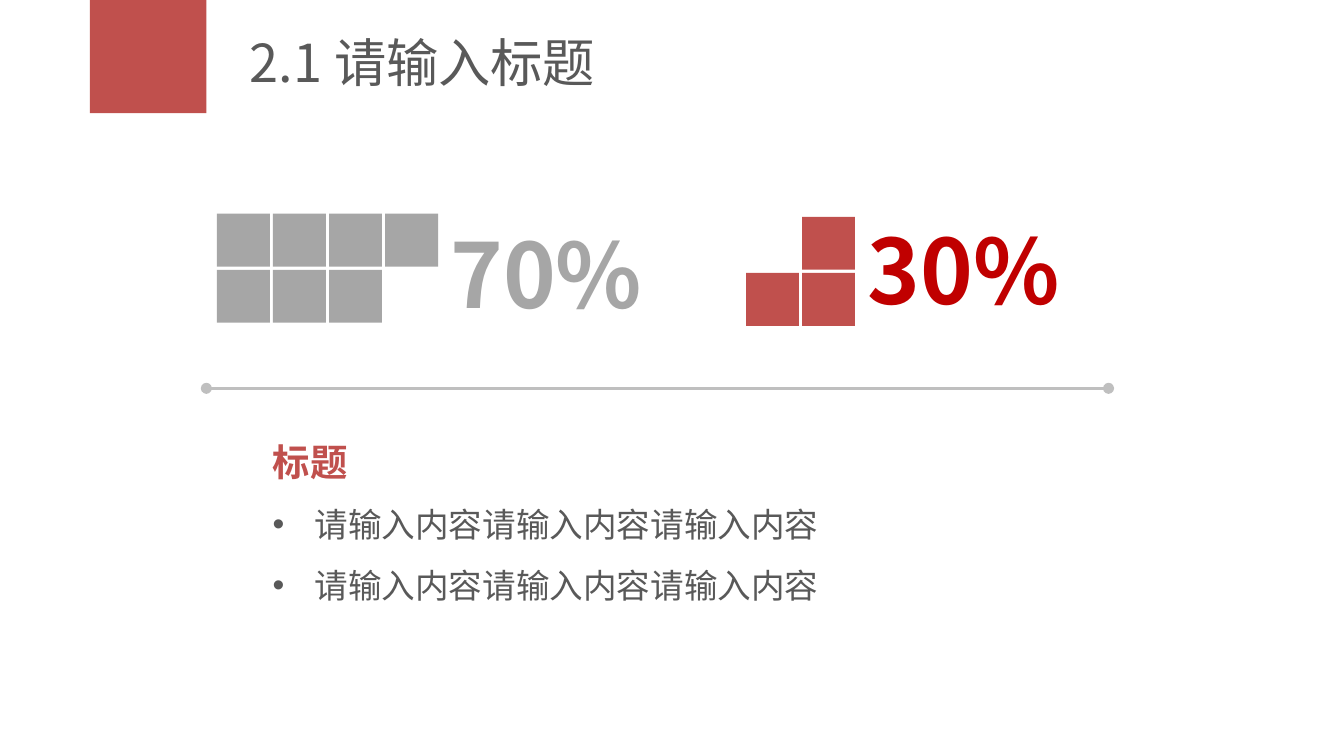
"""Build a slide comparing two shares as rows of squares."""
from dataclasses import dataclass

from lxml import etree
from pptx import Presentation
from pptx import util as u
from pptx.dml.color import RGBColor
from pptx.enum import shapes, text
from pptx.oxml.ns import qn


@dataclass(frozen=True)
class Theme:
    """Colours, font and type sizes of the slide."""
    font: str = "Noto Sans CJK SC"
    accent: str = "C0504D"
    strong: str = "C00000"
    gray: str = "A6A6A6"
    rule: str = "BFBFBF"
    ink: str = "595959"
    title: int = 28
    share: int = 48
    heading: int = 20
    body: int = 18


THEME = Theme()
SQUARE = 1
PITCH = 1.06


def place(sp, x, y, w, h):
    """Move and size a shape, in centimetres."""
    sp.left, sp.top, sp.width, sp.height = map(u.Cm, (x, y, w, h))


def format_runs(p, size, color, bold=False):
    """Format every run of a paragraph."""
    for r in p.runs:
        r.font.size = u.Pt(size)
        r.font.bold = bold
        r.font.name = THEME.font
        r.font.color.rgb = RGBColor.from_string(color)
        ea = etree.SubElement(r.font._element, qn("a:ea"))
        ea.set("typeface", THEME.font)


def add_block(s, x, y, w, h, color):
    """Add a plain filled rectangle."""
    sp = s.shapes.add_shape(shapes.MSO_SHAPE.RECTANGLE, *map(u.Cm, (x, y, w, h)))
    sp.shadow.inherit = False
    sp.fill.solid()
    sp.fill.fore_color.rgb = RGBColor.from_string(color)
    sp.line.fill.background()


def add_squares(s, x, y, rows, color):
    """Add a grid of squares, one for each # in the rows."""
    for i, row in enumerate(rows):
        for j, mark in enumerate(row):
            if mark == "#":
                add_block(s, x + j * PITCH, y + i * PITCH, SQUARE, SQUARE, color)


def add_share(s, x, y, label, color):
    """Add a large percentage."""
    tf = s.shapes.add_textbox(*map(u.Cm, (x, y, 5.2, 2.31))).text_frame
    tf.word_wrap = True
    tf.text = label
    format_runs(tf.paragraphs[0], THEME.share, color, True)


def add_rule(s, x1, x2, y):
    """Add a horizontal line with round ends."""
    c = s.shapes.add_connector(shapes.MSO_CONNECTOR.STRAIGHT, *map(u.Cm, (x1, y, x2, y)))
    c.line.color.rgb = RGBColor.from_string(THEME.rule)
    c.line.width = u.Pt(1.5)
    ln = c.line._get_or_add_ln()
    for tag in ("a:headEnd", "a:tailEnd"):
        etree.SubElement(ln, qn(tag)).set("type", "oval")
    etree.SubElement(c._element.spPr, qn("a:effectLst"))


def set_title(sp, title):
    """Place and fill the title placeholder."""
    place(sp, 4.47, 0.36, 20.04, 1.6)
    tf = sp.text_frame
    tf.text = title
    tf.auto_size = text.MSO_AUTO_SIZE.NONE
    tf.vertical_anchor = text.MSO_ANCHOR.MIDDLE
    p = tf.paragraphs[0]
    p.alignment = text.PP_ALIGN.LEFT
    format_runs(p, THEME.title, THEME.ink)


def set_bullet(p, char=None):
    """Give a paragraph a hanging bullet, or none."""
    pPr = p._p.get_or_add_pPr()
    indent = u.Cm(0.79) if char else 0
    pPr.set("marL", str(indent))
    pPr.set("indent", str(-indent))
    if char:
        etree.SubElement(pPr, qn("a:buFont")).set("typeface", "Arial")
        etree.SubElement(pPr, qn("a:buChar")).set("char", char)
    else:
        etree.SubElement(pPr, qn("a:buNone"))


def set_body(sp, heading, items):
    """Place the body placeholder and fill it with a heading and bullets."""
    place(sp, 4.9, 7.75, 15.8, 3.84)
    tf = sp.text_frame
    tf.text = "\n".join([heading, *items])
    tf.auto_size = text.MSO_AUTO_SIZE.SHAPE_TO_FIT_TEXT
    for i, p in enumerate(tf.paragraphs):
        set_bullet(p, "•" if i else None)
        p.line_spacing = 1.5
        p.space_before = u.Pt(0)
        if i:
            format_runs(p, THEME.body, THEME.ink)
        else:
            format_runs(p, THEME.heading, THEME.accent, True)


def main():
    """Build and save the slide."""
    prs = Presentation()
    prs.slide_width, prs.slide_height = u.Cm(25.4), u.Cm(14.29)
    s = prs.slides.add_slide(prs.slide_layouts[1])
    add_block(s, 1.7, 0, 2.2, 2.14, THEME.accent)
    set_title(s.shapes.title, "2.1 请输入标题")
    add_squares(s, 4.1, 4.04, ("####", "###"), THEME.gray)
    add_squares(s, 14.1, 4.1, (" #", "##"), THEME.accent)
    add_share(s, 8.26, 4.01, "70%", THEME.gray)
    add_share(s, 16.15, 3.94, "30%", THEME.strong)
    add_rule(s, 3.9, 20.95, 7.34)
    set_body(s.placeholders[1], "标题", ["请输入内容请输入内容请输入内容"] * 2)
    prs.save("out.pptx")


if __name__ == "__main__":
    main()
